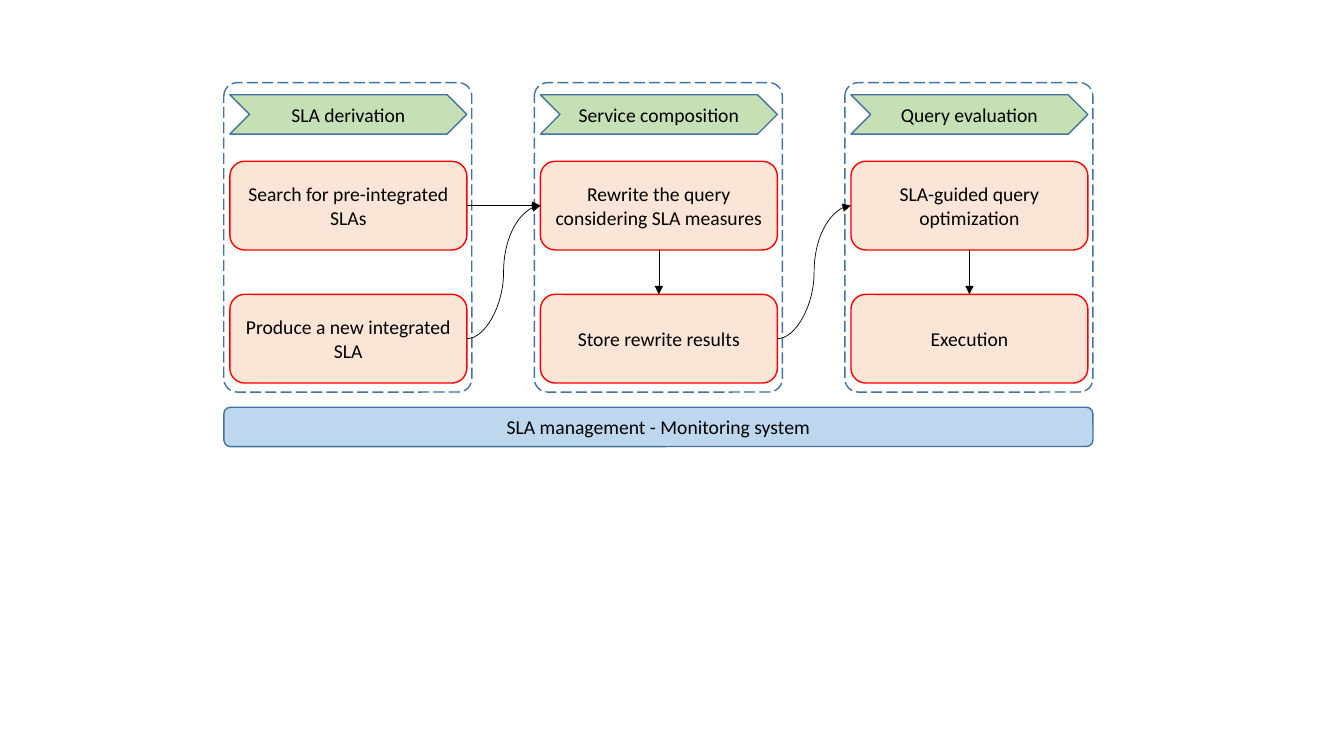
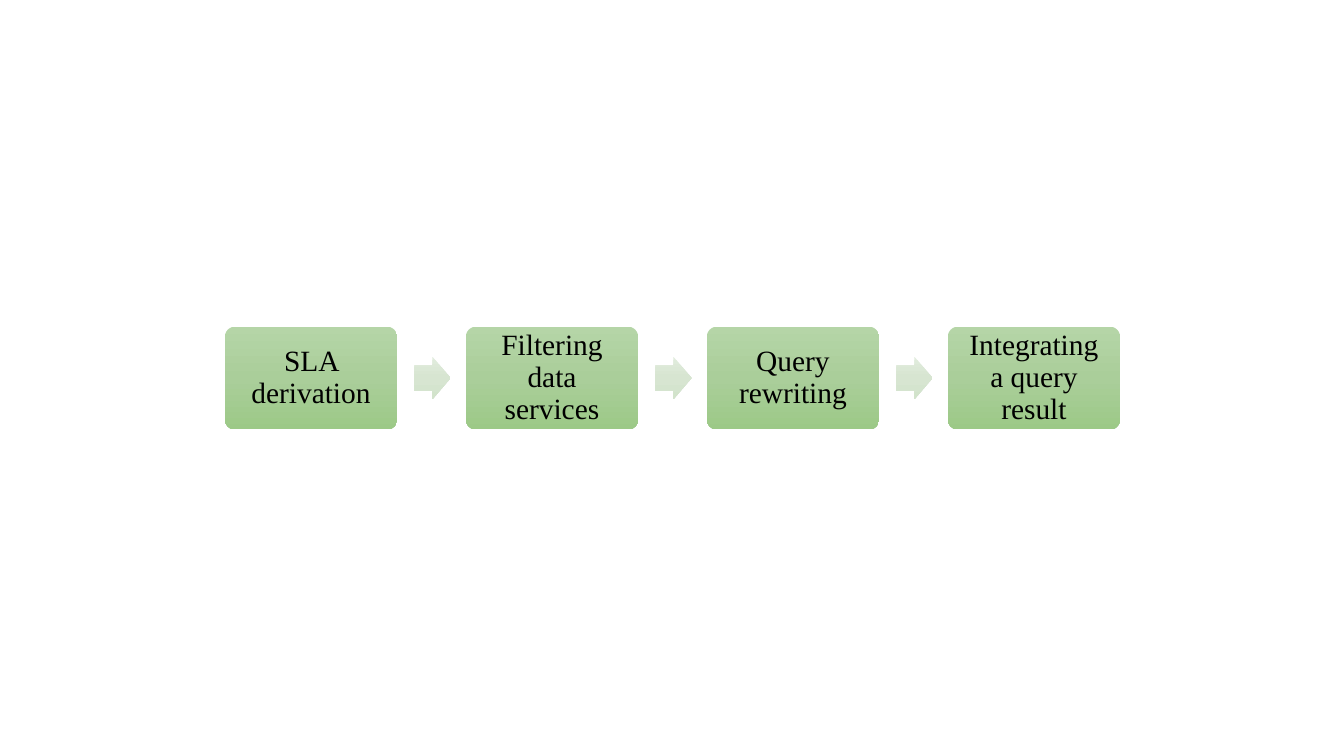
import copy

import pptx
import pptx.dml.color
import pptx.enum.dml
import pptx.enum.shapes
import pptx.enum.text
import pptx.oxml
import pptx.oxml.ns
import pptx.util

Inches = pptx.util.Inches
Shape = pptx.enum.shapes.MSO_SHAPE
Connector = pptx.enum.shapes.MSO_CONNECTOR

BLACK = "000000"
RED = "FF0000"
BLUE_LINE = "43739E"
PALE_BLUE = "BDD7EE"
PALE_GREEN = "C5E0B4"
PALE_ORANGE = "FBE5D6"
STEP_GRADIENT = ("B5D5A7", "AACE9A", "9CC987")
ARROW_GRADIENT = ("E1ECDD", "D7E5D1", "D2E3CB")

BOTTOM, RIGHT, LEFT, TOP = 2, 3, 1, 0


def colour(hex_string):
    return pptx.dml.color.RGBColor.from_string(hex_string)


class Diagram:
    """Holds the deck, the current slide and the shared style."""

    def __init__(self):
        self.deck = pptx.Presentation()
        self.deck.slide_width = Inches(13.33)
        self.deck.slide_height = Inches(7.5)
        self.slide = None

    def new_slide(self):
        self.slide = self.deck.slides.add_slide(self.deck.slide_layouts[6])

    def shape(self, kind, left, top, width, height, fill=None, line=None, adjustments=()):
        """Add a shape; fill is a colour, three gradient colours or None."""
        shape = self.slide.shapes.add_shape(
            kind, Inches(left), Inches(top), Inches(width), Inches(height))
        shape.shadow.inherit = False
        for index, value in enumerate(adjustments):
            shape.adjustments[index] = value
        if fill is None:
            shape.fill.background()
        elif isinstance(fill, str):
            shape.fill.solid()
            shape.fill.fore_color.rgb = colour(fill)
        else:
            self.gradient(shape, fill)
        if line is None:
            shape.line.fill.background()
        else:
            shape.line.color.rgb = colour(line)
            shape.line.width = pptx.util.Pt(1)
        return shape

    def gradient(self, shape, colours):
        """Fill from top to bottom with three evenly spaced colours."""
        shape.fill.gradient()
        shape.fill.gradient_angle = 270
        first = shape._element.spPr.find(".//" + pptx.oxml.ns.qn("a:gs"))
        middle = copy.deepcopy(first)
        middle.set("pos", "50000")
        first.addnext(middle)
        for stop, hex_string in zip(shape.fill.gradient_stops, colours):
            stop.color.rgb = colour(hex_string)

    def label(self, shape, text, size=14, font="Calibri", line_spacing=None):
        frame = shape.text_frame
        frame.text = text
        frame.word_wrap = True
        frame.vertical_anchor = pptx.enum.text.MSO_ANCHOR.MIDDLE
        para = frame.paragraphs[0]
        para.alignment = pptx.enum.text.PP_ALIGN.CENTER
        para.line_spacing = line_spacing
        para.font.size = pptx.util.Pt(size)
        para.font.name = font
        para.font.color.rgb = colour(BLACK)

    def frame(self, left, top, width, height):
        frame = self.shape(Shape.ROUNDED_RECTANGLE, left, top, width, height,
                           line=BLUE_LINE, adjustments=(0.054,))
        frame.line.dash_style = pptx.enum.dml.MSO_LINE.LONG_DASH

    def task(self, text, left, top, width, height):
        box = self.shape(Shape.ROUNDED_RECTANGLE, left, top, width, height, PALE_ORANGE, RED)
        self.label(box, text)
        return box

    def heading(self, text, left, top, width, height):
        self.label(self.shape(Shape.CHEVRON, left, top, width, height,
                              PALE_GREEN, BLUE_LINE), text)

    def bar(self, text, left, top, width, height):
        self.label(self.shape(Shape.ROUNDED_RECTANGLE, left, top, width, height,
                              PALE_BLUE, BLUE_LINE), text)

    def step(self, text, left, top, width, height):
        box = self.shape(Shape.ROUNDED_RECTANGLE, left, top, width, height,
                         STEP_GRADIENT, adjustments=(0.1,))
        self.label(box, text, 21, "Times New Roman", 0.9)
        frame = box.text_frame
        frame.margin_left = frame.margin_right = Inches(0.09)
        frame.margin_top = frame.margin_bottom = Inches(0.09)

    def block_arrow(self, left, top, width, height):
        self.shape(Shape.RIGHT_ARROW, left, top, width, height,
                   ARROW_GRADIENT, adjustments=(0.6, 0.5))

    def connect(self, kind, start, start_side, end, end_side):
        link = self.slide.shapes.add_connector(kind, 0, 0, 0, 0)
        link.begin_connect(start, start_side)
        link.end_connect(end, end_side)
        link.line.color.rgb = colour(BLACK)
        link.line.width = pptx.util.Pt(0.5)
        properties = link._element.spPr
        outline = properties.find(pptx.oxml.ns.qn("a:ln"))
        namespace = pptx.oxml.ns.nsdecls("a")
        outline.append(pptx.oxml.parse_xml(f'<a:tailEnd {namespace} type="triangle"/>'))
        properties.append(pptx.oxml.parse_xml(f"<a:effectLst {namespace}/>"))


def add_phases(diagram):
    phases = [
        ("SLA derivation",
         ("Search for pre-integrated SLAs", "Produce a new integrated SLA")),
        ("Service composition",
         ("Rewrite the query considering SLA measures", "Store rewrite results")),
        ("Query evaluation",
         ("SLA-guided query optimization", "Execution")),
    ]
    left, pitch, frame_width = 2.22, 3.08, 2.46
    inset, task_width = 0.06, 2.35
    diagram.new_slide()
    tasks = []
    for column, (title, names) in enumerate(phases):
        frame_left = left + column * pitch
        inner_left = frame_left + inset
        diagram.frame(frame_left, 0.82, frame_width, 3.07)
        diagram.heading(title, inner_left, 0.94, task_width, 0.39)
        tasks.append([diagram.task(name, inner_left, 1.6 + row * 1.32, task_width, 0.88)
                      for row, name in enumerate(names)])
    diagram.bar("SLA management - Monitoring system", left, 4.04,
                2 * pitch + frame_width, 0.39)

    (search, produce), (rewrite, store), (optimize, execute) = tasks
    diagram.connect(Connector.STRAIGHT, search, RIGHT, rewrite, LEFT)
    for start, end in ((produce, rewrite), (store, optimize)):
        diagram.connect(Connector.CURVE, start, RIGHT, end, LEFT)
    for start, end in ((rewrite, store), (optimize, execute)):
        diagram.connect(Connector.STRAIGHT, start, BOTTOM, end, TOP)


def add_process(diagram):
    steps = ("SLA derivation", "Filtering data services",
             "Query rewriting", "Integrating a query result")
    diagram.new_slide()
    for index, text in enumerate(steps):
        left = 2.23 + index * 2.39
        if index:
            diagram.block_arrow(left - 0.51, 3.54, 0.36, 0.42)
        diagram.step(text, left, 3.24, 1.71, 1.02)


def main():
    diagram = Diagram()
    add_phases(diagram)
    add_process(diagram)
    diagram.deck.save("out.pptx")


if __name__ == "__main__":
    main()
